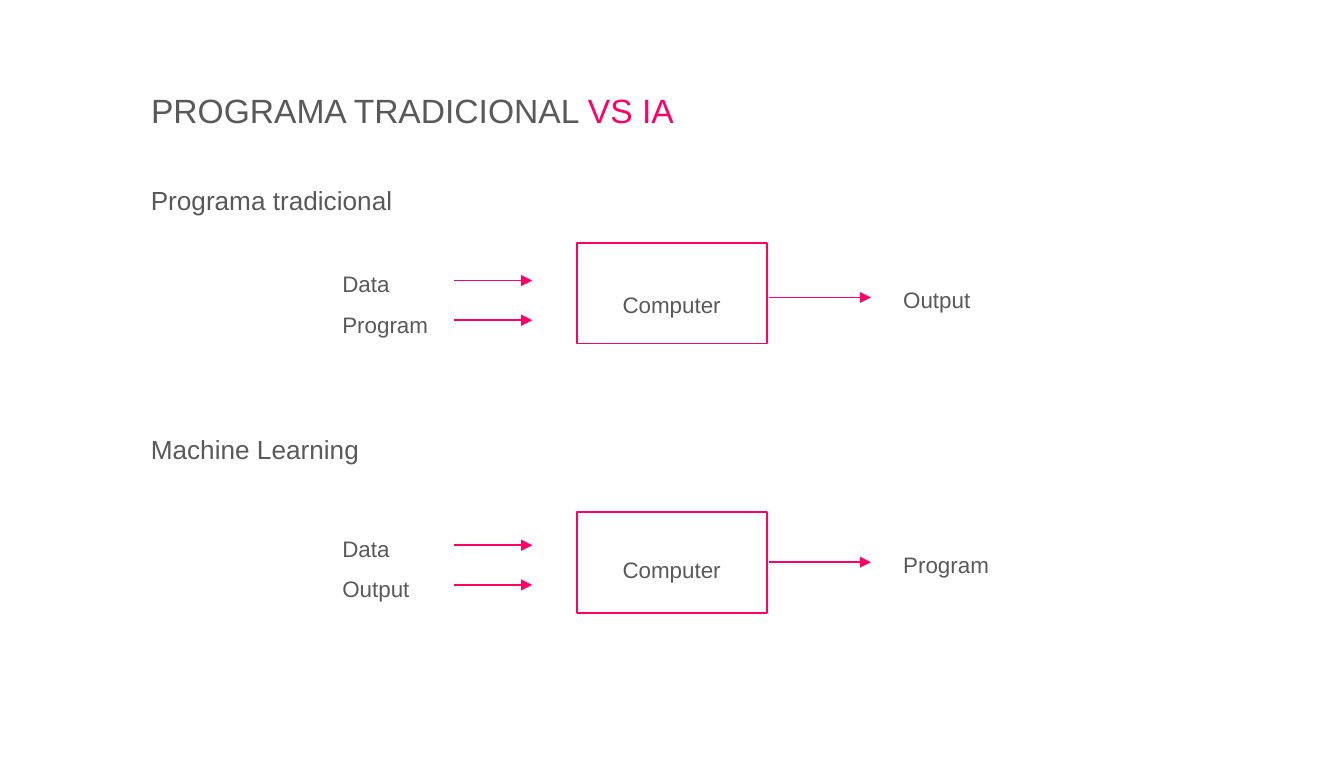
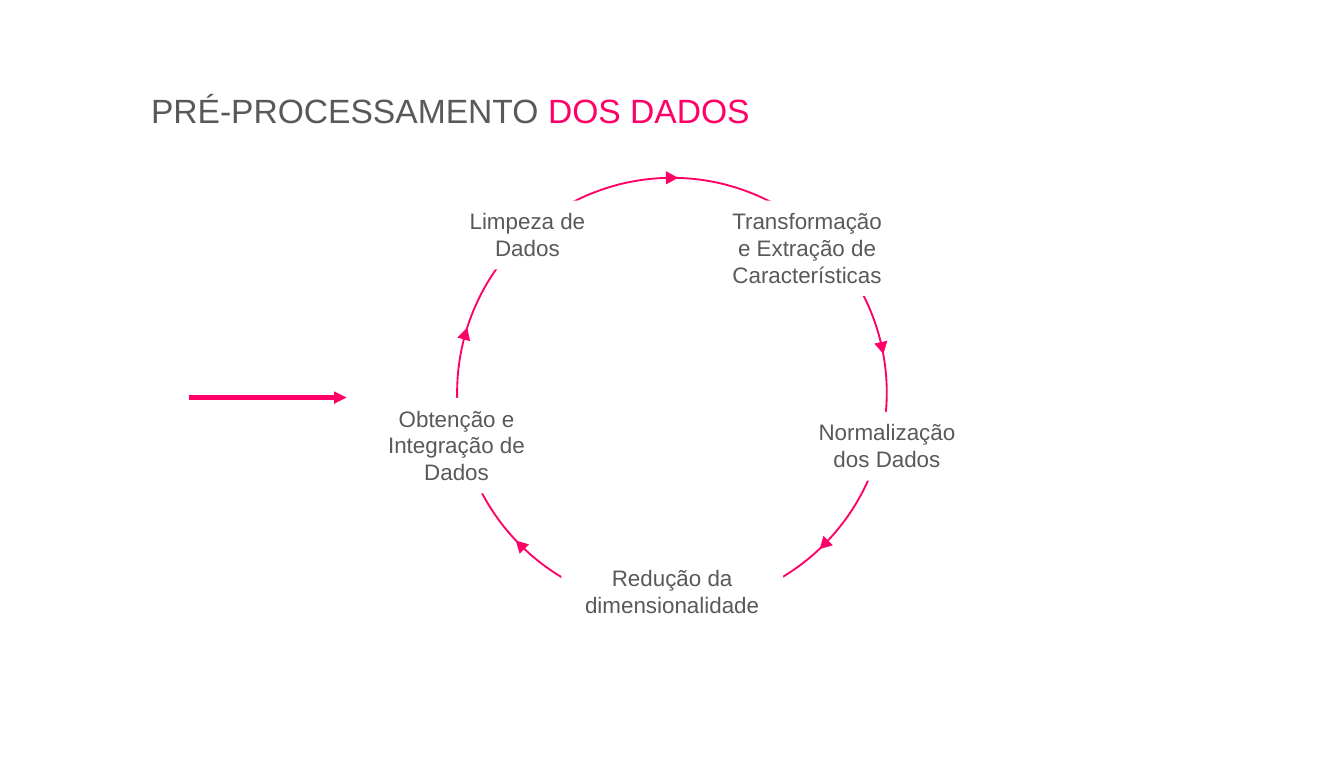
"""Build two slides: traditional program versus AI, and the data preprocessing cycle."""
from math import cos, radians, sin

from lxml.etree import SubElement
from pptx import Presentation
from pptx.dml.color import RGBColor
from pptx.enum.shapes import MSO_CONNECTOR, MSO_SHAPE
from pptx.enum.text import MSO_ANCHOR, MSO_AUTO_SIZE, PP_ALIGN
from pptx.oxml.ns import qn
from pptx.util import Cm, Pt

GREY, PINK, WHITE = "595959", "FF0066", "FFFFFF"


def colour(code):
    return RGBColor.from_string(code)


class Board:
    font = "Arial"
    title_size = 18
    heading_size = 14
    label_size = 12
    margin = 2.6

    def __init__(self, deck):
        self.deck = deck
        self.page = None

    def style(self, para, size, align=PP_ALIGN.LEFT, spacing=1.0):
        para.alignment = align
        para.line_spacing = spacing
        para.font.name = self.font
        para.font.size = Pt(size)
        para.font.color.rgb = colour(GREY)

    def frame(self, box):
        frame = box.text_frame
        frame.word_wrap = True
        frame.auto_size = MSO_AUTO_SIZE.NONE
        frame.vertical_anchor = MSO_ANCHOR.TOP
        return frame

    def new_page(self, plain, accent):
        self.page = self.deck.slides.add_slide(self.deck.slide_layouts[5])
        title = self.page.shapes.title
        title.left, title.top = Cm(self.margin), Cm(1.57)
        title.width, title.height = Cm(20.19), Cm(1.02)
        para = self.frame(title).paragraphs[0]
        para.add_run().text = plain + " "
        span = para.add_run()
        span.text = accent
        self.style(para, self.title_size)
        span.font.color.rgb = colour(PINK)

    def text(self, lines, left, top, width, height, size=label_size, align=PP_ALIGN.LEFT):
        box = self.page.shapes.add_textbox(Cm(left), Cm(top), Cm(width), Cm(height))
        frame = self.frame(box)
        frame.text = "\n".join(lines)
        for para in frame.paragraphs:
            self.style(para, size, align, 1.5)

    def shape(self, kind, left, top, width, height, fill=None, line=None):
        shape = self.page.shapes.add_shape(kind, Cm(left), Cm(top), Cm(width), Cm(height))
        shape.shadow.inherit = False
        if fill:
            shape.fill.solid()
            shape.fill.fore_color.rgb = colour(fill)
        else:
            shape.fill.background()
        if line:
            shape.line.color.rgb = colour(line)
            shape.line.width = Pt(1)
        else:
            shape.line.fill.background()
        return shape

    def stage(self, text, left, top, width, height):
        box = self.shape(MSO_SHAPE.RECTANGLE, left, top, width, height, fill=WHITE)
        para = self.frame(box).paragraphs[0]
        para.text = text
        self.style(para, self.label_size, PP_ALIGN.CENTER)

    def arrow(self, start, end, y, weight=1):
        arrow = self.page.shapes.add_connector(
            MSO_CONNECTOR.STRAIGHT, Cm(start), Cm(y), Cm(end), Cm(y))
        arrow.line.color.rgb = colour(PINK)
        arrow.line.width = Pt(weight)
        SubElement(arrow.line._get_or_add_ln(), qn("a:tailEnd"), type="triangle")
        SubElement(arrow._element.spPr, qn("a:effectLst"))

    def ring(self, x, y, radius, angles):
        self.shape(MSO_SHAPE.OVAL, x - radius, y - radius, 2 * radius, 2 * radius, line=PINK)
        width, height = 0.25, 0.23
        for angle in angles:
            head = self.shape(
                MSO_SHAPE.ISOSCELES_TRIANGLE,
                x + radius * sin(radians(angle)) - width / 2,
                y - radius * cos(radians(angle)) - height / 2,
                width, height, fill=PINK)
            head.rotation = (angle + 90) % 360

    def flow(self, heading, heading_top, box_top, drop, inputs, result):
        self.text([heading], self.margin, heading_top, 9.6, 1.04, self.heading_size)
        self.text(inputs, 6.22, 4.73 + drop, 2.36, 1.8)
        self.text(["Computer"], 11.26, 5.12 + drop, 2.87, 1.04, align=PP_ALIGN.CENTER)
        self.text([result], 16.82, 5.03 + drop, 2.87, 1.04)
        self.shape(MSO_SHAPE.RECTANGLE, 10.9, box_top, 3.6, 1.9, line=PINK)
        for y in (5.3, 6.05):
            self.arrow(8.58, 10.06, y + drop)
        self.arrow(14.53, 16.46, 5.62 + drop)


def main():
    deck = Presentation()
    deck.slide_width, deck.slide_height = Cm(25.4), Cm(14.3)
    board = Board(deck)

    board.new_page("PROGRAMA TRADICIONAL", "VS IA")
    board.flow("Programa tradicional", 3.06, 4.59, 0, ["Data", "Program"], "Output")
    board.flow("Machine Learning", 7.77, 9.68, 5, ["Data", "Output"], "Program")

    board.new_page("PRÉ-PROCESSAMENTO", "DOS DADOS")
    board.ring(12.7, 7.42, 4.06, (0, 78, 135, 225, 286))
    for stage in (
        ("Limpeza de Dados", 8.33, 3.79, 3.28, 1.3),
        ("Transformação e Extração de Características", 13.44, 3.79, 3.63, 1.8),
        ("Obtenção e Integração de Dados", 6.99, 7.52, 3.28, 1.8),
        ("Redução da dimensionalidade", 10.61, 10.53, 4.19, 1.3),
        ("Normalização dos Dados", 15.05, 7.78, 3.43, 1.3),
    ):
        board.stage(*stage)
    board.arrow(3.57, 6.55, 7.51, 2.25)

    deck.save("out.pptx")


if __name__ == "__main__":
    main()
